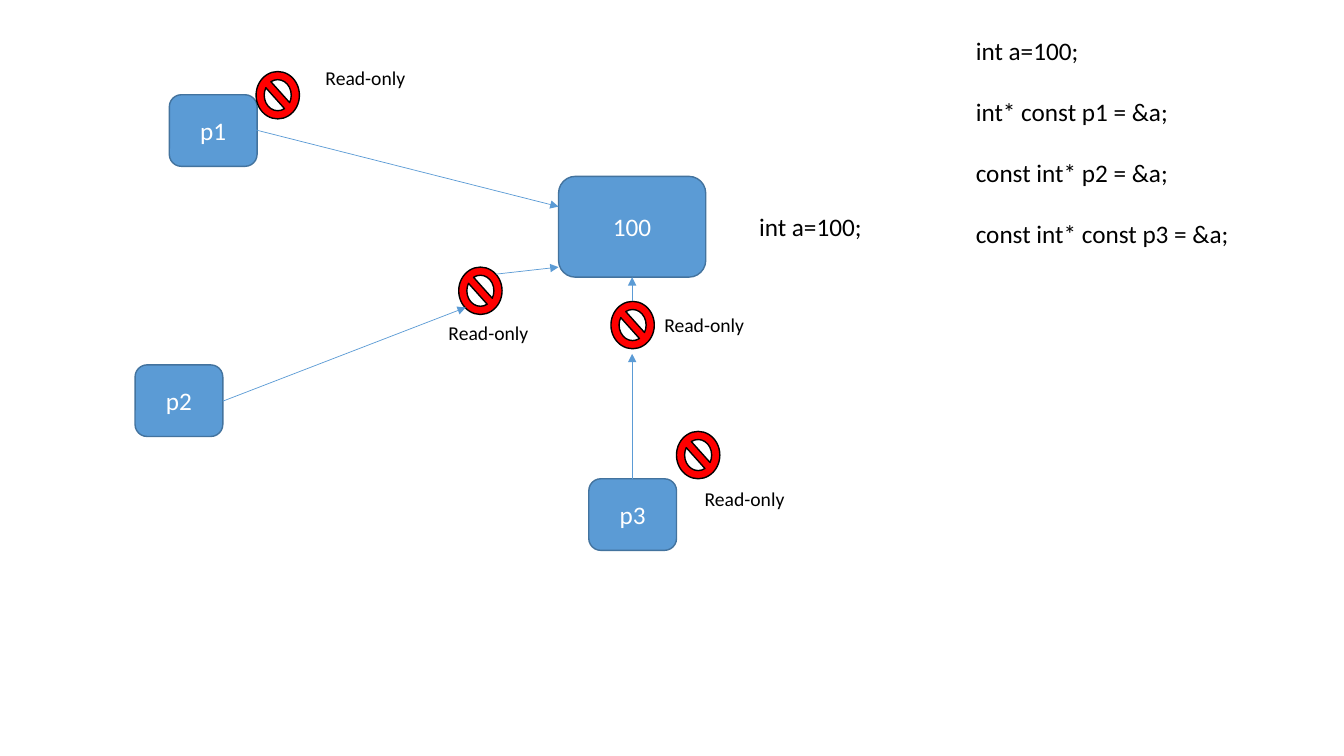
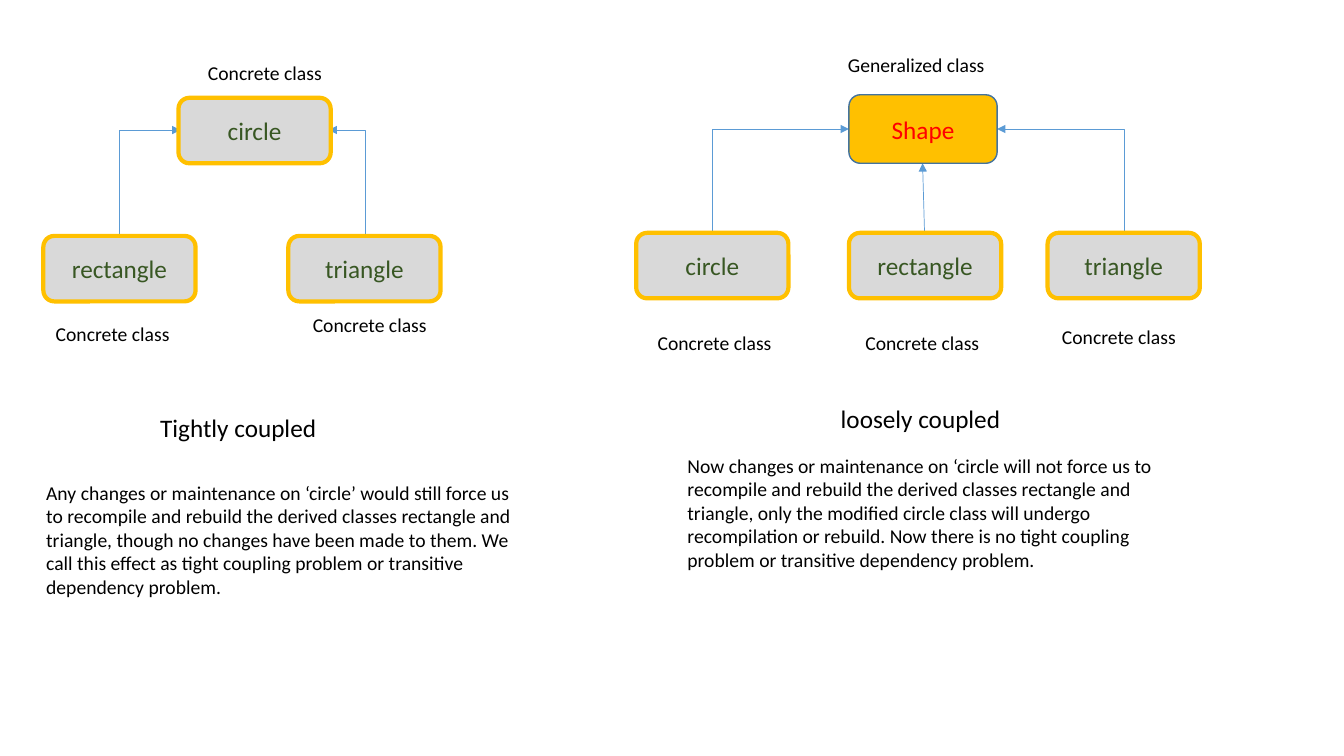
from lxml import etree
from pptx import Presentation
from pptx.dml.color import RGBColor
from pptx.enum.shapes import MSO_CONNECTOR, MSO_SHAPE
from pptx.enum.text import MSO_ANCHOR, MSO_AUTO_SIZE, PP_ALIGN
from pptx.oxml.ns import qn
from pptx.util import Inches, Pt

ROUND = MSO_SHAPE.ROUNDED_RECTANGLE
BAN = MSO_SHAPE.NO_SYMBOL
LINE, ELBOW = MSO_CONNECTOR.STRAIGHT, MSO_CONNECTOR.ELBOW
LEFT, CENTER = PP_ALIGN.LEFT, PP_ALIGN.CENTER
MIDDLE = MSO_ANCHOR.MIDDLE
GROW = MSO_AUTO_SIZE.SHAPE_TO_FIT_TEXT

FONT = "Calibri"
BIG, SMALL = 18, 14
BLACK, WHITE, RED = "000000", "FFFFFF", "FF0000"
BLUE, NAVY = "5B9BD5", "43739E"
GOLD, GREY, GREEN = "FFC000", "D9D9D9", "385723"

# Box looks: fill, line colour, line width, text colour
MEMORY = (BLUE, NAVY, 1, WHITE)
DERIVED = (GREY, GOLD, 3, GREEN)
BASE = (GOLD, NAVY, 1, RED)

TIGHT = ("Any changes or maintenance on ‘circle’ would still force us to "
         "recompile and rebuild the derived classes rectangle and triangle, "
         "though no changes have been made to them. We call this effect as "
         "tight coupling problem or transitive dependency problem.")
LOOSE = ("Now changes or maintenance on ‘circle will not force us to "
         "recompile and rebuild the derived classes rectangle and triangle, "
         "only the modified circle class will undergo recompilation or "
         "rebuild. Now there is no tight coupling problem or transitive "
         "dependency problem.")


def color(code):
    return RGBColor.from_string(code)


def write(para, text, size, ink, align):
    para.alignment = align
    run = para.add_run()
    run.text = text
    run.font.name = FONT
    run.font.size = Pt(size)
    run.font.color.rgb = color(ink)


def shape(slide, kind, at, fill, edge, width):
    item = slide.shapes.add_shape(kind, *map(Inches, at))
    item.shadow.inherit = False
    item.fill.solid()
    item.fill.fore_color.rgb = color(fill)
    item.line.color.rgb = color(edge)
    item.line.width = Pt(width)
    return item


def box(slide, text, at, look):
    fill, edge, width, ink = look
    frame = shape(slide, ROUND, at, fill, edge, width).text_frame
    frame.vertical_anchor = MIDDLE
    write(frame.paragraphs[0], text, BIG, ink, CENTER)


def label(slide, lines, at, size=SMALL, align=LEFT, gap=0):
    frame = slide.shapes.add_textbox(*map(Inches, at)).text_frame
    frame.word_wrap = True
    frame.auto_size = GROW
    for i, text in enumerate(lines):
        para = frame.add_paragraph() if i else frame.paragraphs[0]
        if i and gap:
            para.space_before = Pt(gap)
        write(para, text, size, BLACK, align)


def link(slide, kind, start, end, tip):
    item = slide.shapes.add_connector(kind, *map(Inches, start + end))
    item.line.color.rgb = color(BLUE)
    item.line.width = Pt(0.5)
    props = item._element.spPr
    etree.SubElement(props.find(qn("a:ln")), qn(tip), type="triangle")
    etree.SubElement(props, qn("a:effectLst"))
    return props


def arrow(slide, start, end):
    link(slide, LINE, start, end, "a:tailEnd")


def bend(slide, child, parent):
    # One corner: sideways from the parent, then down to the child
    props = link(slide, ELBOW, parent, child, "a:headEnd")
    props.find(qn("a:prstGeom")).set("prst", "bentConnector2")


def pointers(slide):
    # Value, pointers and code
    box(slide, "100", (5.54, 1.75, 1.46, 1), MEMORY)
    label(slide, ["int a=100;"], (7.43, 2.05, 1.47, 0.4), BIG)
    for name, x, y in (("p1", 1.68, 0.94), ("p2", 1.34, 3.62),
                       ("p3", 5.84, 4.75)):
        box(slide, name, (x, y, 0.87, 0.71), MEMORY)
    code = ["int a=100;", "int* const p1 = &a;", "const int* p2 = &a;",
            "const int* const p3 = &a;"]
    label(slide, code, (9.58, 0.3, 3.5, 2.24), BIG, gap=22)

    # Read-only signs
    for x, y in ((2.54, 0.71), (4.55, 2.65), (6.71, 4.28), (6.06, 2.99)):
        shape(slide, BAN, (x, y, 0.43, 0.47), RED, BLACK, 1)

    # Arrows to the value
    for start, end in (((2.54, 1.29), (5.54, 2.05)),
                       ((2.21, 3.98), (4.62, 3.05)),
                       ((4.92, 2.72), (5.54, 2.65)),
                       ((6.27, 4.75), (6.27, 3.51)),
                       ((6.27, 2.99), (6.27, 2.75))):
        arrow(slide, start, end)

    for x, y in ((3.13, 0.6), (4.35, 3.13), (6.49, 3.06), (6.89, 4.78)):
        label(slide, ["Read-only"], (x, y, 1.07, 0.34))


def classes(slide):
    # Arrows to the parent classes
    for child, parent in (((1.18, 2.34), (1.79, 1.29)),
                          ((3.62, 2.34), (3.26, 1.29)),
                          ((7.07, 2.31), (8.42, 1.28)),
                          ((11.15, 2.31), (9.89, 1.28))):
        bend(slide, child, parent)
    arrow(slide, (9.17, 2.31), (9.15, 1.62))

    # Class boxes
    box(slide, "Shape", (8.42, 0.94, 1.47, 0.68), BASE)
    for name, x, y in (("circle", 1.77, 0.97), ("rectangle", 0.43, 2.34),
                       ("triangle", 2.86, 2.34), ("circle", 6.31, 2.31),
                       ("rectangle", 8.42, 2.31), ("triangle", 10.39, 2.31)):
        box(slide, name, (x, y, 1.51, 0.65), DERIVED)

    # Class kinds
    for kind, x, y in (("Concrete", 1.37, 0.56), ("Concrete", 2.41, 3.06),
                       ("Concrete", -0.14, 3.14), ("Concrete", 5.83, 3.23),
                       ("Concrete", 7.89, 3.23), ("Concrete", 9.84, 3.17),
                       ("Generalized", 7.83, 0.48)):
        label(slide, [kind + " class "], (x, y, 2.56, 0.34), align=CENTER)

    # Headings and explanations
    label(slide, ["Tightly coupled"], (1.49, 4.04, 1.95, 0.4), BIG)
    label(slide, ["loosely coupled"], (8.24, 3.95, 1.95, 0.4), BIG)
    label(slide, [TIGHT], (0.36, 4.72, 5, 1.28))
    label(slide, [LOOSE], (6.72, 4.45, 5, 1.28))


def main():
    deck = Presentation()
    deck.slide_width, deck.slide_height = Inches(13.33), Inches(7.5)
    blank = deck.slide_layouts[6]
    for draw in (pointers, classes):
        draw(deck.slides.add_slide(blank))
    deck.save("out.pptx")


main()
